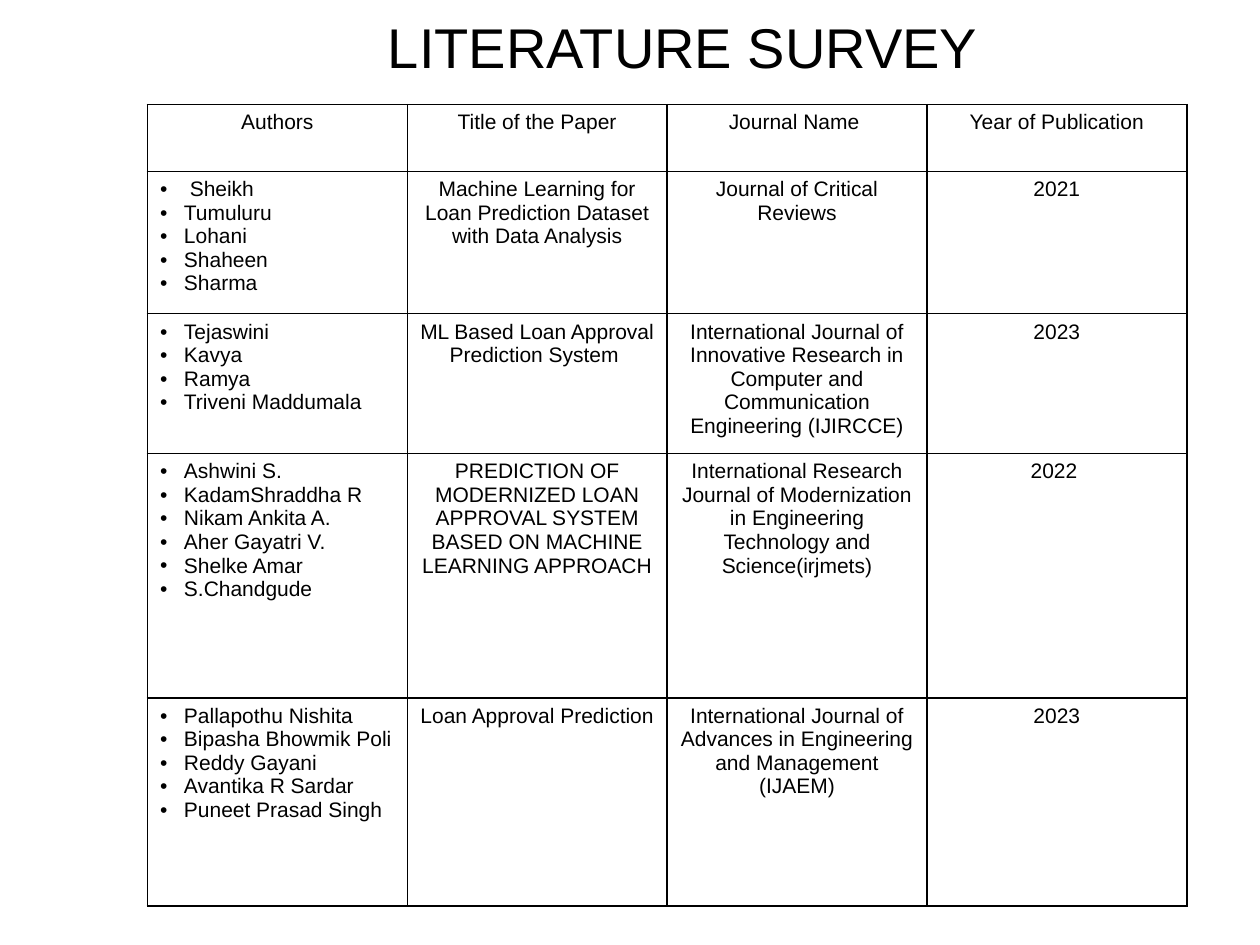
import pptx
import pptx.dml.color
import pptx.enum.text
import pptx.oxml
import pptx.oxml.ns
import pptx.util
from pptx.util import Inches

BLACK = pptx.dml.color.RGBColor(0, 0, 0)
ALIGN = pptx.enum.text.PP_ALIGN
ANCHOR = pptx.enum.text.MSO_ANCHOR

HEADING = "LITERATURE SURVEY"
COLUMN_TITLES = ["Authors", "Title of the Paper", "Journal Name ", "Year of Publication"]
PAPERS = [
    ([" Sheikh", "Tumuluru", "Lohani", "Shaheen", "Sharma"],
     "Machine Learning for Loan Prediction Dataset with Data Analysis",
     "Journal of Critical Reviews", "2021"),
    (["Tejaswini", "Kavya", "Ramya", "Triveni Maddumala"],
     "ML Based Loan Approval Prediction System ",
     "International Journal of Innovative Research in Computer and "
     "Communication Engineering (IJIRCCE)", "2023"),
    (["Ashwini S.", "KadamShraddha R", "Nikam Ankita A.", "Aher Gayatri V.",
      "Shelke Amar", "S.Chandgude"],
     "PREDICTION OF MODERNIZED LOAN APPROVAL SYSTEM BASED ON MACHINE LEARNING APPROACH",
     "International Research Journal of Modernization in Engineering "
     "Technology and Science(irjmets)", "2022 "),
    (["Pallapothu Nishita", "Bipasha Bhowmik Poli", "Reddy Gayani",
      "Avantika R Sardar", "Puneet Prasad Singh"],
     "Loan Approval Prediction",
     "International Journal of Advances in Engineering and Management (IJAEM)", "2023"),
]
ROW_HEIGHTS = [0.53, 1.13, 1.11, 1.94, 1.65]
TABLE_LEFT, TABLE_TOP, TABLE_WIDTH = 1.17, 0.83, 8.25
BULLET_INDENT = 0.19


def add_child(parent, xml):
    parent.append(pptx.oxml.parse_xml(xml.replace(">", f" {pptx.oxml.ns.nsdecls('a')}>", 1)))


def write(frame, lines, size=12, align=ALIGN.CENTER, bullet=None):
    frame.word_wrap = True
    for index, line in enumerate(lines):
        paragraph = frame.add_paragraph() if index else frame.paragraphs[0]
        paragraph.alignment = align
        run = paragraph.add_run()
        run.text = line
        run.font.size = pptx.util.Pt(size)
        run.font.name = "Arial"
        run.font.color.rgb = BLACK
        if bullet:
            properties = paragraph._p.get_or_add_pPr()
            properties.set("marL", str(Inches(BULLET_INDENT)))
            properties.set("indent", str(-Inches(BULLET_INDENT)))
            add_child(properties, '<a:buFont typeface="Arial"></a:buFont>')
            add_child(properties, f'<a:buChar char="{bullet}"></a:buChar>')


def outline(cell):
    properties = cell._tc.get_or_add_tcPr()
    for side in ("lnL", "lnR", "lnT", "lnB"):
        add_child(properties, f'<a:{side} w="{pptx.util.Pt(1)}"><a:solidFill>'
                              f'<a:srgbClr val="{BLACK}"/></a:solidFill></a:{side}>')
    cell.fill.background()


def main():
    deck = pptx.Presentation()
    deck.slide_width, deck.slide_height = Inches(10), Inches(7.5)
    slide = deck.slides.add_slide(deck.slide_layouts[6])

    rows = [([COLUMN_TITLES[0]], *COLUMN_TITLES[1:])] + PAPERS
    survey = slide.shapes.add_table(
        len(rows), len(COLUMN_TITLES), Inches(TABLE_LEFT), Inches(TABLE_TOP),
        Inches(TABLE_WIDTH), Inches(sum(ROW_HEIGHTS))).table
    survey.first_row = survey.horz_banding = False
    for column in survey.columns:
        column.width = Inches(TABLE_WIDTH / len(COLUMN_TITLES))
    for row_index, (height, (authors, *details)) in enumerate(zip(ROW_HEIGHTS, rows)):
        survey.rows[row_index].height = Inches(height)
        for column_index, lines in enumerate([authors] + [[detail] for detail in details]):
            cell = survey.cell(row_index, column_index)
            outline(cell)
            if row_index and not column_index:
                write(cell.text_frame, lines, align=ALIGN.LEFT, bullet="•")
            else:
                write(cell.text_frame, lines)

    heading = slide.shapes.add_textbox(
        Inches(0.92), Inches(-0.62), Inches(9), Inches(1.25)).text_frame
    heading.vertical_anchor = ANCHOR.BOTTOM
    heading.margin_left = heading.margin_right = heading.margin_bottom = 0
    heading.margin_top = Inches(0.05)
    write(heading, [HEADING], size=32)

    deck.save("out.pptx")


if __name__ == "__main__":
    main()
